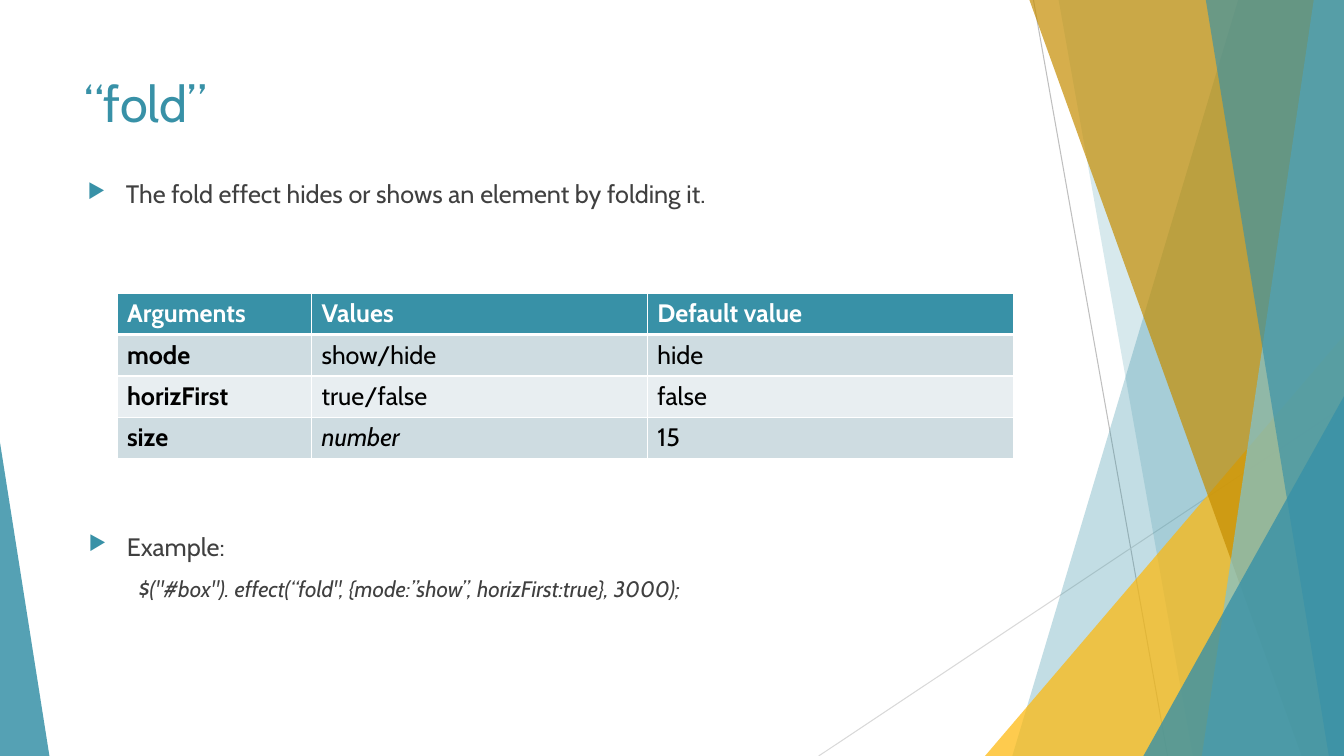
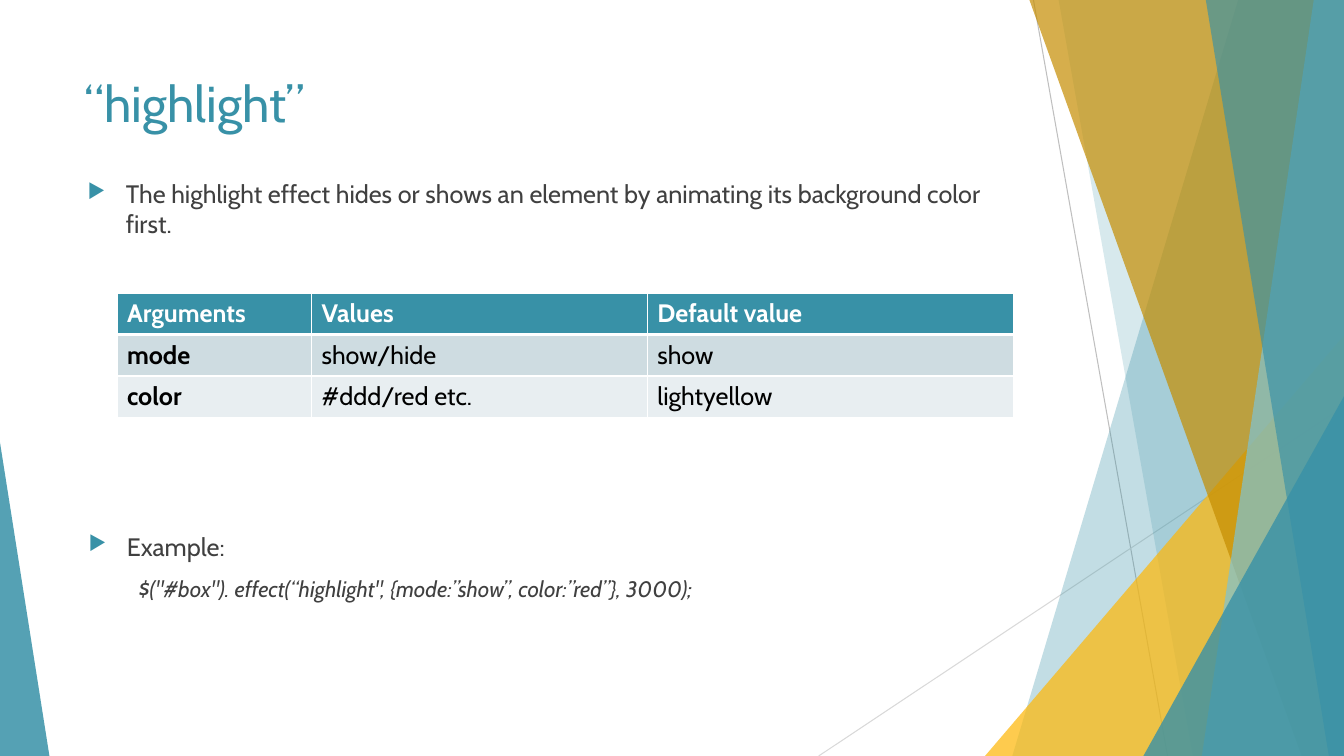
from lxml import etree
from pptx import Presentation
from pptx.dml.color import RGBColor
from pptx.enum.shapes import MSO_CONNECTOR, MSO_SHAPE
from pptx.oxml.ns import qn
from pptx.util import Inches, Pt

STRAIGHT = MSO_CONNECTOR.STRAIGHT
TRIANGLE = MSO_SHAPE.ISOSCELES_TRIANGLE
WIDTH, HEIGHT = 13.33, 7.5


class Theme:
    font = "Cabin"
    teal, sky, amber, ochre = "3891A7", "7EC3D4", "FEB80A", "C58D01"
    text, black, white = "404040", "000000", "FFFFFF"
    light_line, dark_line = "D9D9D9", "BFBFBF"
    row_fills = ("CEDCE1", "E8EEF1")
    title_size, body_size, code_size = 36, 18, 16


# Decoration, back to front
LINES = [
    (10.25, 0, 11.58, HEIGHT, Theme.dark_line),
    (WIDTH, 4.03, 8.12, HEIGHT, Theme.light_line),
]
# Bands: x at the top, x at the bottom; each reaches the right edge.
# Triangles: left, top, width, apex position; each reaches the bottom edge.
DECORATION = [
    ("band", (12.28, 10.04), Theme.teal, 30),
    ("band", (10.5, 11.83), Theme.teal, 20),
    ("triangle", (9.77, 3.33, 3.56, 1), Theme.amber, 72),
    ("band", (10.21, 12.91), Theme.ochre, 70),
    ("band", (13.03, 11.92), Theme.sky, 70),
    ("band", (11.96, 13.18), Theme.teal, 65),
    ("triangle", (11.34, 3.93, 1.99, 1), Theme.teal, 80),
    ("triangle", (0, 4.39, 0.49, 0), Theme.teal, 85),
]

# Content
HEADER = ("Arguments", "Values", "Default value")
COLUMN_WIDTHS = (1.93, 3.33, 3.63)
ROW_HEIGHT = 0.41
ITALIC_VALUE = "number"
SLIDES = [
    {
        "title": "“fold”",
        "description": "The fold effect hides or shows an element by folding it.",
        "rows": [
            ("mode", "show/hide", "hide"),
            ("horizFirst", "true/false", "false"),
            ("size", ITALIC_VALUE, "15"),
        ],
        "code": '$("#box"). effect(“fold", {mode:”show”, horizFirst:true}, 3000);',
    },
    {
        "title": "“highlight”",
        "description": "The highlight effect hides or shows an element by "
                       "animating its background color first.",
        "rows": [
            ("mode", "show/hide", "show"),
            ("color", "#ddd/red etc.", "lightyellow"),
        ],
        "code": '$("#box"). effect(“highlight", {mode:”show”, color:”red”}, 3000);',
    },
]


def write(paragraph, text, size, color, bold=False, italic=False, bullet=False):
    paragraph.text = text
    if bullet:
        properties = paragraph._p.get_or_add_pPr()
        properties.set("marL", str(Inches(0.38)))
        properties.set("indent", str(-Inches(0.38)))
        bullet_color = etree.SubElement(properties, qn("a:buClr"))
        etree.SubElement(bullet_color, qn("a:srgbClr"), val=Theme.teal)
        etree.SubElement(properties, qn("a:buSzPct"), val="80000")
        etree.SubElement(properties, qn("a:buChar"), char="▶")
    font = paragraph.font
    font.name, font.size = Theme.font, Pt(size)
    font.bold, font.italic = bold, italic
    font.color.rgb = RGBColor.from_string(color)


def add_text_frame(slide, left, top, width, height):
    box = slide.shapes.add_textbox(
        Inches(left), Inches(top), Inches(width), Inches(height))
    box.text_frame.word_wrap = True
    return box.text_frame


presentation = Presentation()
presentation.slide_width = Inches(WIDTH)
presentation.slide_height = Inches(HEIGHT)

for content in SLIDES:
    slide = presentation.slides.add_slide(presentation.slide_layouts[6])

    # Thin lines
    for x1, y1, x2, y2, color in LINES:
        line = slide.shapes.add_connector(
            STRAIGHT, Inches(x1), Inches(y1), Inches(x2), Inches(y2))
        line.line.color.rgb = RGBColor.from_string(color)
        line.line.width = Pt(0.75)
        etree.SubElement(line._element.spPr, qn("a:effectLst"))

    # Translucent bands and triangles
    for kind, geometry, color, opacity in DECORATION:
        if kind == "band":
            top_x, bottom_x = geometry
            builder = slide.shapes.build_freeform(Inches(top_x), 0)
            builder.add_line_segments([
                (Inches(WIDTH), 0),
                (Inches(WIDTH), Inches(HEIGHT)),
                (Inches(bottom_x), Inches(HEIGHT)),
            ])
            shape = builder.convert_to_shape()
        else:
            left, top, width, apex = geometry
            shape = slide.shapes.add_shape(
                TRIANGLE, Inches(left), Inches(top),
                Inches(width), Inches(HEIGHT - top))
            shape.adjustments[0] = apex
        shape.shadow.inherit = False
        shape.line.fill.background()
        shape.fill.solid()
        shape.fill.fore_color.rgb = RGBColor.from_string(color)
        fill_color = shape._element.spPr.find(qn("a:solidFill"))[0]
        etree.SubElement(fill_color, qn("a:alpha"), val=str(opacity * 1000))

    # Title and description
    frame = add_text_frame(slide, 0.74, 0.67, 9.4, 0.9)
    write(frame.paragraphs[0], content["title"], Theme.title_size, Theme.teal)
    frame = add_text_frame(slide, 0.77, 1.72, 9.4, 1)
    write(frame.paragraphs[0], content["description"],
          Theme.body_size, Theme.text, bullet=True)

    # Table of arguments
    rows = [HEADER] + content["rows"]
    table = slide.shapes.add_table(
        len(rows), len(HEADER), Inches(1.16), Inches(2.91),
        Inches(sum(COLUMN_WIDTHS)), Inches(ROW_HEIGHT * len(rows))).table
    for column, width in zip(table.columns, COLUMN_WIDTHS):
        column.width = Inches(width)
    for row_index, values in enumerate(rows):
        table.rows[row_index].height = Inches(ROW_HEIGHT)
        is_header = row_index == 0
        fill = Theme.teal if is_header else Theme.row_fills[(row_index - 1) % 2]
        borders = {"L": 1, "R": 1, "T": 3 if row_index == 1 else 1,
                   "B": 3 if is_header else 1}
        for column_index, value in enumerate(values):
            cell = table.cell(row_index, column_index)
            write(cell.text_frame.paragraphs[0], value, Theme.body_size,
                  Theme.white if is_header else Theme.black,
                  bold=is_header or column_index == 0,
                  italic=value == ITALIC_VALUE)
            cell_properties = cell._tc.get_or_add_tcPr()
            for side, points in borders.items():
                border = etree.SubElement(
                    cell_properties, qn(f"a:ln{side}"), w=str(Pt(points)))
                border_fill = etree.SubElement(border, qn("a:solidFill"))
                etree.SubElement(border_fill, qn("a:srgbClr"), val=Theme.white)
            cell.fill.solid()
            cell.fill.fore_color.rgb = RGBColor.from_string(fill)

    # Example with its line of code
    frame = add_text_frame(slide, 0.78, 5.22, 9.4, 1)
    write(frame.paragraphs[0], "Example:", Theme.body_size, Theme.text, bullet=True)
    code = frame.add_paragraph()
    write(code, content["code"], Theme.code_size, Theme.text, italic=True)
    code.space_before = Pt(10)
    code._p.get_or_add_pPr().set("marL", str(Inches(0.5)))

presentation.save("out.pptx")
